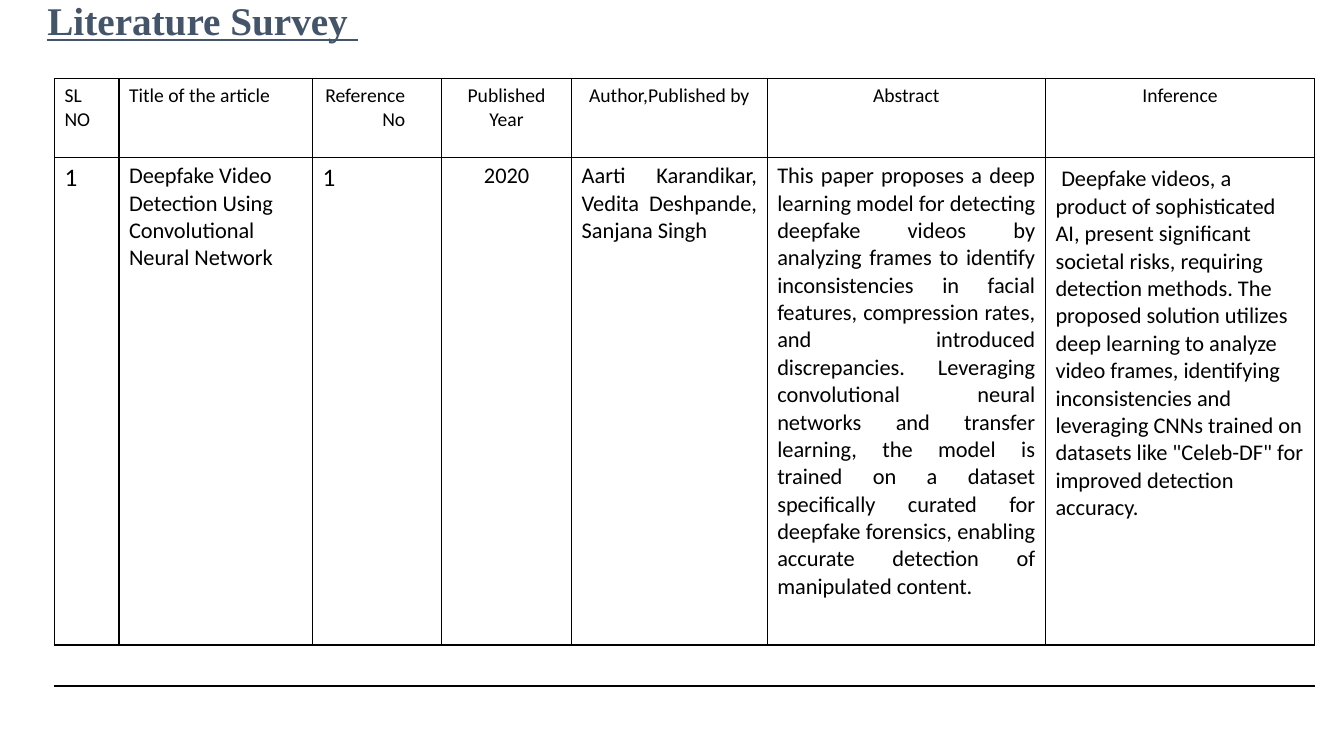
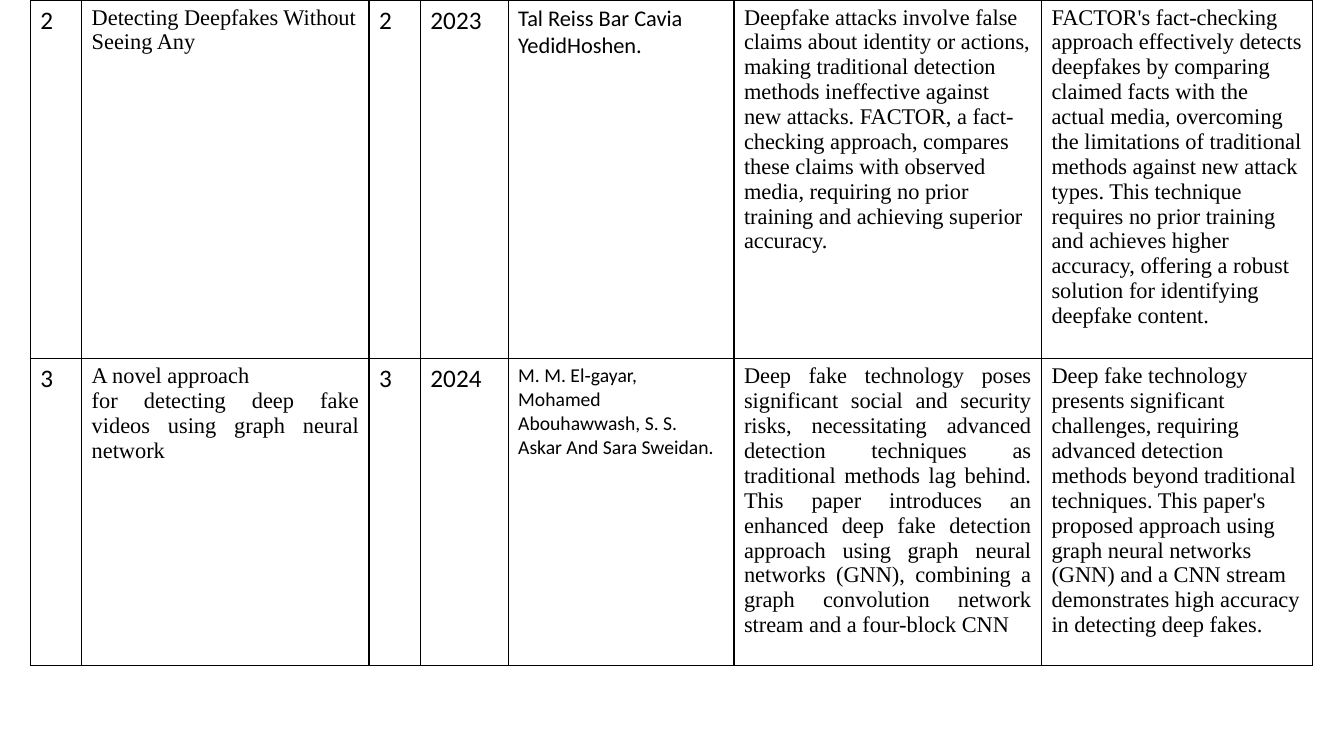
from typing import NamedTuple

from lxml.etree import SubElement
from pptx import Presentation
from pptx.dml.color import RGBColor
from pptx.enum.text import MSO_ANCHOR, PP_ALIGN as Align
from pptx.oxml.ns import qn
from pptx.util import Inches, Pt

SANS, SERIF = "Calibri", "Times New Roman"
INK, TITLE_COLOR = "000000", "44546A"
TITLE_ONLY, BLANK = 5, 6


class Entry(NamedTuple):
    """Text of one table cell; each line of it is a paragraph."""
    text: str
    size: int = 16
    font: str = SANS
    align: Align = Align.LEFT


def color(value):
    return RGBColor.from_string(value)


def format_font(font, name, size, ink=INK):
    font.name, font.size = name, Pt(size)
    font.color.rgb = color(ink)


def set_borders(cell, sides="LRTB"):
    """Draw thin lines on the named sides and none on the others."""
    properties = cell._tc.get_or_add_tcPr()
    for position, side in enumerate("LRTB"):
        line = SubElement(properties, qn(f"a:ln{side}"), w=str(Pt(1)))
        if side in sides:
            fill = SubElement(line, qn("a:solidFill"))
            SubElement(fill, qn("a:srgbClr"), val=INK)
        else:
            SubElement(line, qn("a:noFill"))
        properties.insert(position, line)  # lines go before the fill


def fill_cell(cell, entry):
    cell.text_frame.text = entry.text
    for paragraph in cell.text_frame.paragraphs:
        paragraph.alignment = entry.align
        format_font(paragraph.font, entry.font, entry.size)


def add_survey_table(slide, left, top, widths, heights, rows):
    """Place a ruled table; rows beyond the given entries stay empty."""
    table = slide.shapes.add_table(
        len(heights), len(widths), Inches(left), Inches(top),
        Inches(sum(widths)), Inches(sum(heights))).table
    table.first_row = table.horz_banding = False
    for column, width in zip(table.columns, widths):
        column.width = Inches(width)
    for row, height in zip(table.rows, heights):
        row.height = Inches(height)
    for cell in table.iter_cells():
        cell.fill.background()
    for row, entries in zip(table.rows, rows):
        for cell, entry in zip(row.cells, entries):
            fill_cell(cell, entry)
            set_borders(cell)
    return table


def add_title(slide, text, left, top, width, height):
    title = slide.shapes.title
    title.left, title.top = Inches(left), Inches(top)
    title.width, title.height = Inches(width), Inches(height)
    frame = title.text_frame
    frame.text = text
    frame.margin_top = frame.margin_bottom = 0
    frame.vertical_anchor = MSO_ANCHOR.MIDDLE
    paragraph = frame.paragraphs[0]
    paragraph.alignment = Align.LEFT
    format_font(paragraph.font, SERIF, 28, TITLE_COLOR)
    paragraph.font.bold = paragraph.font.underline = True


def build_first_page(presentation):
    slide = presentation.slides.add_slide(
        presentation.slide_layouts[TITLE_ONLY])
    add_title(slide, "Literature Survey ", 0.37, 0, 5.33, 0.4)

    header = [Entry("SL\nNO", 14), Entry("Title of the article", 14),
              Entry("Reference No", 14, align=Align.RIGHT)]
    header += [Entry(label, 14, align=Align.CENTER) for label in (
        "Published Year", "Author,Published by", "Abstract", "Inference")]
    article = [
        Entry("1", 18),
        Entry("Deepfake Video Detection Using Convolutional Neural Network"),
        Entry("1", 18),
        Entry("2020", align=Align.CENTER),
        Entry("Aarti Karandikar, Vedita Deshpande, Sanjana Singh",
              align=Align.JUSTIFY),
        Entry("This paper proposes a deep learning model for detecting "
              "deepfake videos by analyzing frames to identify "
              "inconsistencies in facial features, compression rates, and "
              "introduced discrepancies. Leveraging convolutional neural "
              "networks and transfer learning, the model is trained on a "
              "dataset specifically curated for deepfake forensics, enabling "
              "accurate detection of manipulated content.",
              align=Align.JUSTIFY),
        Entry(" ", 18),
    ]
    table = add_survey_table(
        slide, 0.54, 0.78, [0.64, 1.92, 1.28, 1.29, 1.94, 2.76, 2.67],
        [0.78, 4.84, 0.4], [header, article])

    # "No" lines up with the right end of "Reference"
    table.cell(0, 2).margin_right = Inches(0.36)

    # The inference follows its larger opening space
    inference = table.cell(1, 6).text_frame.paragraphs[0].add_run()
    inference.text = (
        "Deepfake videos, a product of sophisticated AI, present significant "
        "societal risks, requiring detection methods. The proposed solution "
        "utilizes deep learning to analyze video frames, identifying "
        "inconsistencies and leveraging CNNs trained on datasets like "
        '"Celeb-DF" for improved detection accuracy.')
    format_font(inference.font, SANS, 16)

    # Closing row: one open strip across the table
    table.cell(2, 0).merge(table.cell(2, 6))
    for cell in table.rows[2].cells:
        set_borders(cell, "TB")


def build_second_page(presentation):
    slide = presentation.slides.add_slide(presentation.slide_layouts[BLANK])
    articles = [
        [Entry("2", 18),
         Entry("Detecting Deepfakes Without Seeing Any", font=SERIF),
         Entry("2", 18),
         Entry("2023", 18),
         Entry("Tal Reiss Bar Cavia YedidHoshen."),
         Entry("Deepfake attacks involve false claims about identity or "
               "actions, making traditional detection methods ineffective "
               "against new attacks. FACTOR, a fact-checking approach, "
               "compares these claims with observed media, requiring no "
               "prior training and achieving superior accuracy.", font=SERIF),
         Entry("FACTOR's fact-checking approach effectively detects "
               "deepfakes by comparing claimed facts with the actual media, "
               "overcoming the limitations of traditional methods against "
               "new attack types. This technique requires no prior training "
               "and achieves higher accuracy, offering a robust solution for "
               "identifying deepfake content.", font=SERIF)],
        [Entry("3", 18),
         Entry("A novel approach\nfor detecting deep fake videos using graph "
               "neural network", font=SERIF, align=Align.JUSTIFY),
         Entry("3", 18),
         Entry("2024", 18),
         Entry("M. M. El‑gayar, Mohamed Abouhawwash, S. S. Askar And "
               "Sara Sweidan.", 14),
         Entry("Deep fake technology poses significant social and security "
               "risks, necessitating advanced detection techniques as "
               "traditional methods lag behind. This paper introduces an "
               "enhanced deep fake detection approach using graph neural "
               "networks (GNN), combining a graph convolution network stream "
               "and a four-block CNN", font=SERIF, align=Align.JUSTIFY),
         Entry("Deep fake technology presents significant challenges, "
               "requiring advanced detection methods beyond traditional "
               "techniques. This paper's proposed approach using graph "
               "neural networks (GNN) and a CNN stream demonstrates high "
               "accuracy in detecting deep fakes.", font=SERIF)],
    ]
    add_survey_table(slide, 0.3, 0, [0.51, 2.85, 0.51, 0.87, 2.24, 3.05, 2.69],
                     [3.56, 3.04], articles)


def main():
    presentation = Presentation()
    presentation.slide_width = Inches(13.33)
    presentation.slide_height = Inches(7.5)
    build_first_page(presentation)
    build_second_page(presentation)
    presentation.save("out.pptx")


if __name__ == "__main__":
    main()
